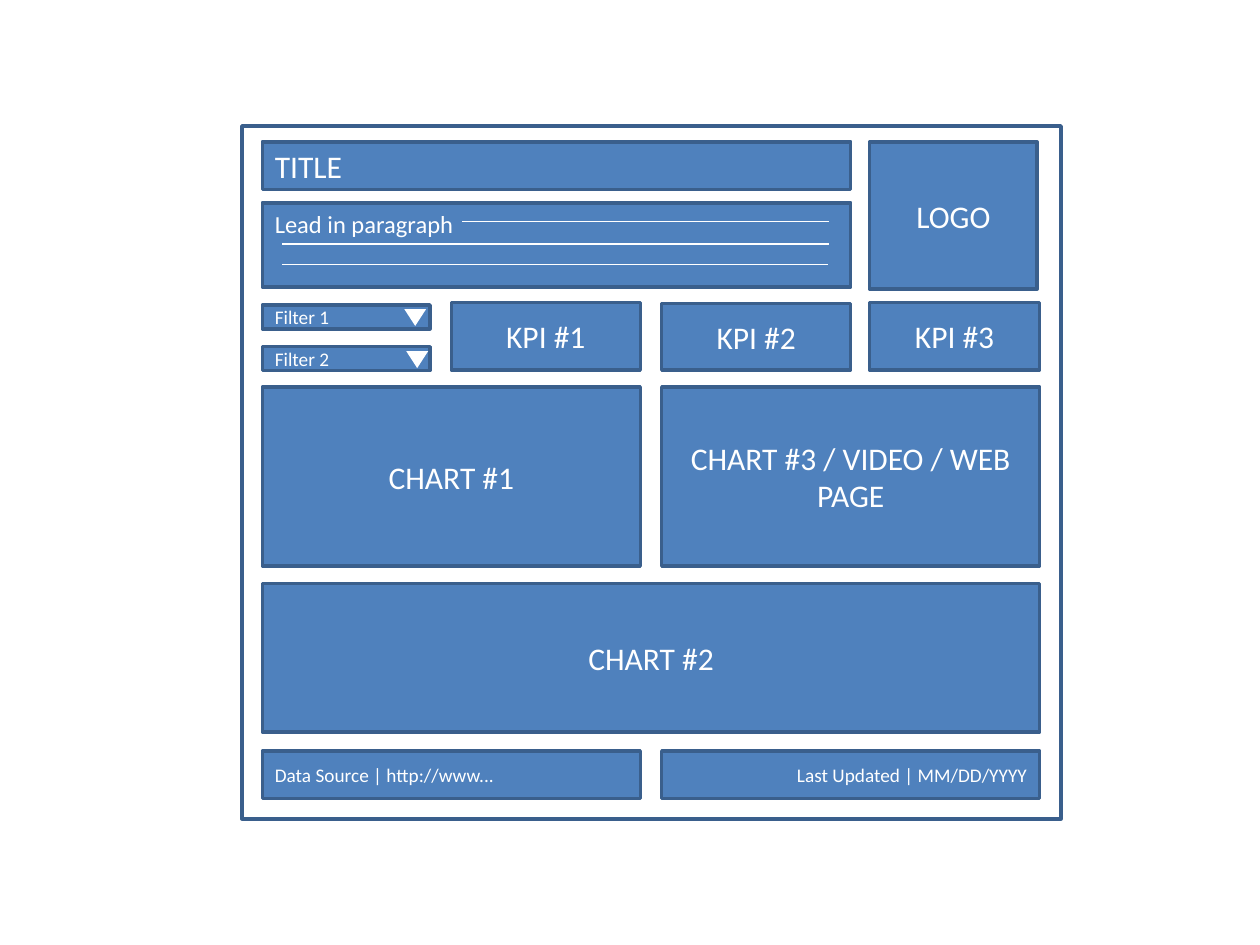
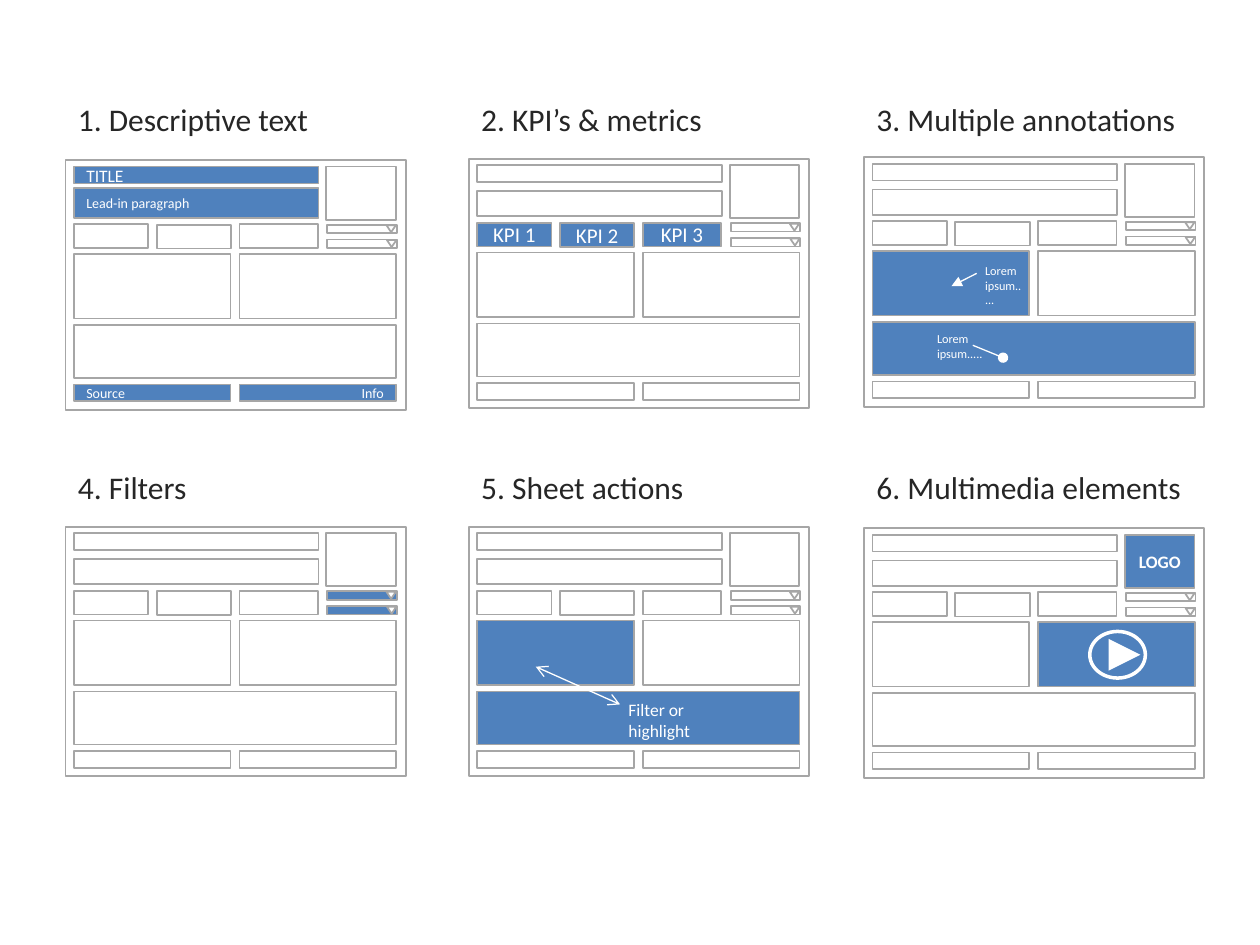
from dataclasses import dataclass, field, replace
from typing import Optional

from lxml.etree import SubElement
from pptx import Presentation
from pptx.dml.color import RGBColor
from pptx.enum.shapes import MSO_CONNECTOR, MSO_SHAPE as Preset
from pptx.enum.text import MSO_ANCHOR as Anchor, MSO_AUTO_SIZE, PP_ALIGN as Align
from pptx.oxml.ns import qn
from pptx.util import Cm, Pt

COLORS = {
    "block": "4F81BD",
    "border": "3A5F8C",
    "grey": "A6A6A6",
    "heading": "262626",
    "white": "FFFFFF",
}
FONT = "Calibri"


@dataclass(frozen=True)
class Label:
    text: str
    size: float = 18
    align: Align = Align.CENTER
    anchor: Anchor = Anchor.MIDDLE
    bold: bool = False
    color: str = "white"


@dataclass(frozen=True)
class Box:
    left: float
    top: float
    width: float
    height: float

    def moved(self, right: float, down: float) -> "Box":
        return replace(self, left=self.left + right, top=self.top + down)

    def lengths(self) -> list:
        return [Cm(value) for value in (self.left, self.top, self.width, self.height)]


@dataclass(frozen=True)
class Panel:
    heading: str
    left: float
    top: float
    filled: tuple = ()
    labels: dict = field(default_factory=dict)
    changed: dict = field(default_factory=dict)


@dataclass(frozen=True)
class Stroke:
    start: tuple
    end: tuple
    head: Optional[str] = None
    tail: Optional[str] = None


def rgb(name: str) -> RGBColor:
    return RGBColor.from_string(COLORS[name])


def write(frame, label: Label) -> None:
    frame.word_wrap = True
    frame.vertical_anchor = label.anchor
    frame.text = label.text
    para = frame.paragraphs[0]
    para.alignment = label.align
    for span in para.runs:
        span.font.name = FONT
        span.font.size = Pt(label.size)
        span.font.bold = label.bold
        span.font.color.rgb = rgb(label.color)


def draw_shape(shapes, box: Box, fill: Optional[str] = None, line: Optional[str] = None,
               width: float = 1, label: Optional[Label] = None,
               preset: Preset = Preset.RECTANGLE, rotation: float = 0) -> None:
    shape = shapes.add_shape(preset, *box.lengths())
    shape.shadow.inherit = False
    shape.rotation = rotation
    if fill:
        shape.fill.solid()
        shape.fill.fore_color.rgb = rgb(fill)
    else:
        shape.fill.background()
    if line:
        shape.line.color.rgb = rgb(line)
        shape.line.width = Pt(width)
    else:
        shape.line.fill.background()
    if label:
        write(shape.text_frame, label)


def draw_text(shapes, box: Box, label: Label) -> None:
    frame = shapes.add_textbox(*box.lengths()).text_frame
    write(frame, label)
    frame.auto_size = MSO_AUTO_SIZE.SHAPE_TO_FIT_TEXT


def draw_stroke(shapes, stroke: Stroke) -> None:
    ends = [Cm(value) for value in stroke.start + stroke.end]
    connector = shapes.add_connector(MSO_CONNECTOR.STRAIGHT, *ends)
    connector.line.color.rgb = rgb("white")
    connector.line.width = Pt(0.75)
    properties = connector._element.spPr
    outline = properties.find(qn("a:ln"))
    for tag, kind in (("a:headEnd", stroke.head), ("a:tailEnd", stroke.tail)):
        if kind:
            SubElement(outline, qn(tag)).set("type", kind)
    SubElement(properties, qn("a:effectLst"))


LEFT, MIDDLE, RIGHT = 5.29, 13.34, 17.53
HALF, FULL = 7.62, 15.67
DASHBOARD_FRAME = Box(4.88, 2.54, 16.51, 13.97)
DASHBOARD = [
    (Box(LEFT, 2.86, 11.86, 0.96), Label("TITLE", align=Align.LEFT)),
    (Box(LEFT, 4.09, 11.86, 1.7), Label("Lead in paragraph", 14, Align.LEFT, Anchor.TOP)),
    (Box(LEFT, 7.8, HALF, 3.61), Label("CHART #1")),
    (Box(MIDDLE, 7.8, HALF, 3.61), Label("CHART #3 / VIDEO / WEB PAGE")),
    (Box(RIGHT, 2.86, 3.38, 2.97), Label("LOGO")),
    (Box(LEFT, 11.76, FULL, 3), Label("CHART #2")),
    (Box(LEFT, 15.14, HALF, 0.96), Label("Data Source | http://www...", 11, Align.LEFT)),
    (Box(MIDDLE, 15.14, HALF, 0.96), Label("Last Updated | MM/DD/YYYY", 11, Align.RIGHT)),
    (Box(LEFT, 6.99, 3.38, 0.48), Label("Filter 2", 11, Align.LEFT)),
    (Box(LEFT, 6.15, 3.38, 0.48), Label("Filter 1", 11, Align.LEFT)),
    (Box(9.1, 6.1, 3.81, 1.36), Label("KPI #1")),
    (Box(MIDDLE, 6.12, 3.81, 1.34), Label("KPI #2")),
    (Box(RIGHT, 6.1, 3.43, 1.36), Label("KPI #3")),
]
DASHBOARD_ARROWS = [Box(8.15, 6.23, 0.44, 0.34), Box(8.19, 7.08, 0.44, 0.34)]
LEAD_LINES = [
    Stroke((9.32, 4.47), (16.71, 4.47)),
    Stroke((5.69, 4.92), (16.71, 4.92)),
    Stroke((5.69, 5.33), (16.69, 5.33)),
]

WIREFRAME = {
    "frame": Box(0, 0, 6.86, 5.03),
    "title": Box(0.17, 0.13, 4.93, 0.34),
    "lead": Box(0.17, 0.65, 4.93, 0.51),
    "chart 1": Box(0.17, 1.89, 3.16, 1.3),
    "chart 3": Box(3.51, 1.89, 3.16, 1.3),
    "logo": Box(5.26, 0.13, 1.4, 1.07),
    "chart 2": Box(0.17, 3.32, 6.5, 1.07),
    "source": Box(0.17, 4.52, 3.16, 0.34),
    "info": Box(3.51, 4.52, 3.16, 0.34),
    "filter 2": Box(5.28, 1.6, 1.4, 0.17),
    "filter 1": Box(5.28, 1.3, 1.4, 0.17),
    "kpi 1": Box(0.17, 1.29, 1.5, 0.48),
    "kpi 2": Box(1.84, 1.3, 1.5, 0.48),
    "kpi 3": Box(3.51, 1.29, 1.58, 0.48),
}
WIREFRAME_ARROWS = [Box(6.47, 1.31, 0.19, 0.14), Box(6.48, 1.61, 0.19, 0.14)]
COLUMNS = (1.32, 9.45, 17.42)
HEADING_RISE = {0: 1.9, 1: 9.32}

PANELS = [
    Panel("1. Descriptive text", COLUMNS[0], 3.23,
          filled=("title", "lead", "source", "info"),
          labels={
              "title": Label("TITLE", 10, Align.LEFT),
              "lead": Label("Lead-in paragraph", 8, Align.LEFT, Anchor.TOP),
              "source": Label("Source", 8, Align.LEFT),
              "info": Label("Info", 8, Align.RIGHT),
          },
          changed={"lead": Box(0.17, 0.56, 4.93, 0.6)}),
    Panel("2. KPI’s & metrics", COLUMNS[1], 3.2,
          filled=("kpi 1", "kpi 2", "kpi 3"),
          labels={f"kpi {number}": Label(f"KPI {number}", 12) for number in (1, 2, 3)}),
    Panel("3. Multiple annotations", COLUMNS[2], 3.17, filled=("chart 1", "chart 2")),
    Panel("4. Filters", COLUMNS[0], 10.62, filled=("filter 1", "filter 2")),
    Panel("5. Sheet actions", COLUMNS[1], 10.62, filled=("chart 1", "chart 2")),
    Panel("6. Multimedia elements", COLUMNS[2], 10.65,
          filled=("logo", "chart 3"),
          labels={"logo": Label("LOGO", 10, bold=True)}),
]
NOTES = [
    (Box(19.61, 5.18, 1.24, 1.14), Label("Lorem ipsum.....", 7, Align.LEFT, Anchor.TOP)),
    (Box(18.64, 6.55, 1.9, 0.86), Label("Lorem ipsum.....", 7, Align.LEFT, Anchor.TOP)),
    (Box(12.42, 13.97, 2.9, 1.12), Label("Filter or highlight", 10, Align.LEFT, Anchor.TOP)),
]
POINTERS = [
    Stroke((19.69, 5.51), (19.18, 5.77), tail="triangle"),
    Stroke((19.61, 6.96), (20.22, 7.21), tail="oval"),
    Stroke((10.8, 13.44), (12.5, 14.2), head="arrow", tail="arrow"),
]


def draw_dashboard(shapes) -> None:
    draw_shape(shapes, DASHBOARD_FRAME, line="border", width=2)
    for box, label in DASHBOARD:
        draw_shape(shapes, box, "block", "border", 2, label)
    for stroke in LEAD_LINES:
        draw_stroke(shapes, stroke)
    for box in DASHBOARD_ARROWS:
        draw_shape(shapes, box, "white", preset=Preset.ISOSCELES_TRIANGLE, rotation=180)


def draw_panel(shapes, panel: Panel) -> None:
    group = shapes.add_group_shape().shapes
    for name, box in {**WIREFRAME, **panel.changed}.items():
        fill = "block" if name in panel.filled else None
        draw_shape(group, box.moved(panel.left, panel.top), fill, "grey",
                   label=panel.labels.get(name))
    for box in WIREFRAME_ARROWS:
        draw_shape(group, box.moved(panel.left, panel.top), "white", "grey",
                   preset=Preset.ISOSCELES_TRIANGLE, rotation=180)


def draw_overview(shapes) -> None:
    for panel in PANELS:
        draw_panel(shapes, panel)
    for index, panel in enumerate(PANELS):
        box = Box(panel.left, HEADING_RISE[index // len(COLUMNS)], 6.86, 1.03)
        draw_text(shapes, box, Label(panel.heading, align=Align.LEFT,
                                     anchor=Anchor.TOP, color="heading"))
    for stroke in POINTERS:
        draw_stroke(shapes, stroke)
    for box, label in NOTES:
        draw_text(shapes, box, label)
    draw_shape(shapes, Box(21.97, 12.73, 1.12, 0.94), "block", "white", 2, preset=Preset.OVAL)
    draw_shape(shapes, Box(22.35, 12.88, 0.64, 0.64), "white",
               preset=Preset.ISOSCELES_TRIANGLE, rotation=90)


deck = Presentation()
deck.slide_width, deck.slide_height = Cm(25.4), Cm(19.05)
blank = deck.slide_layouts[6]
for draw_page in (draw_dashboard, draw_overview):
    page = deck.slides.add_slide(blank)
    draw_page(page.shapes)
deck.save("out.pptx")
